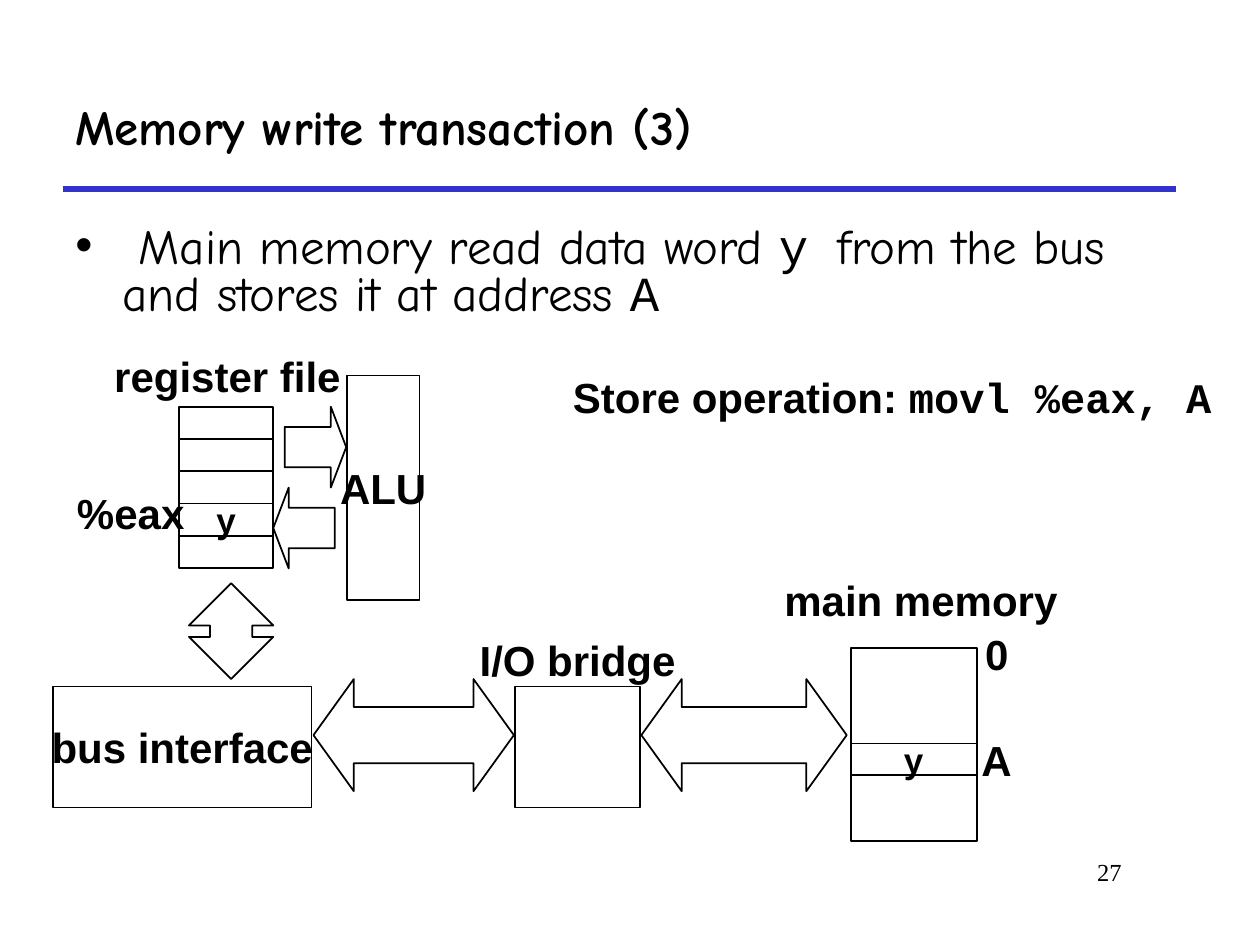
"""Build the slide on the third step of a memory write transaction."""
from lxml.etree import SubElement
from pptx import Presentation
from pptx.dml.color import RGBColor
from pptx.enum.shapes import MSO_CONNECTOR, MSO_SHAPE as Shape
from pptx.enum.text import MSO_ANCHOR as Anchor, MSO_AUTO_SIZE as AutoSize, PP_ALIGN as Align
from pptx.oxml.ns import qn
from pptx.util import Cm, Pt

COLORS = {"ink": "000000", "rule": "3333CC", "paper": "FFFFFF"}
HAND, SANS, MONO, SERIF = "Comic Neue", "Arial", "Courier New", "Times New Roman"

TITLE = [("Memory write transaction (3)", HAND)]
STEP = [
    (" Main memory read data word ", HAND),
    ("y ", MONO),
    ("from the bus and stores it at address ", HAND),
    ("A", MONO),
]
OPERATION = [("Store operation: ", SANS), ("movl %eax, A", MONO)]
PAGE = [("27", SERIF)]

REGISTERS = ["", "", "", "y", ""]
REGISTER_LEFT, REGISTER_TOP, REGISTER_WIDTH, REGISTER_HEIGHT = 3.61, 8.2, 1.9, 0.65

BLOCKS = [
    ("", 24, None, (17.15, 13.06, 2.54, 3.89)),
    ("", 24, None, (10.39, 13.84, 2.51, 2.44)),
    ("ALU", 24, None, (6.99, 7.57, 1.47, 4.52)),
    ("bus interface", 24, "paper", (1.07, 13.84, 5.21, 2.44)),
    ("y", 20, None, (17.15, 14.99, 2.54, 0.64)),
]
ARROWS = [
    (Shape.LEFT_RIGHT_ARROW, (0.5, 0.36), (6.32, 13.69, 4.04, 2.26)),
    (Shape.LEFT_RIGHT_ARROW, (0.5, 0.36), (12.93, 13.69, 4.14, 2.26)),
    (Shape.RIGHT_ARROW, (0.5, 0.25), (5.74, 8.2, 1.24, 1.63)),
    (Shape.LEFT_ARROW, (0.5, 0.25), (5.51, 9.83, 1.24, 1.63)),
    (Shape.UP_DOWN_ARROW, (0.23, 0.5), (3.81, 11.76, 1.7, 1.93)),
]
LABELS = [
    ("register file", (2.01, 6.93, 5.15, 1.27)),
    ("main memory", (15.52, 11.46, 6.09, 1.27)),
    ("0", (19.61, 12.55, 0.97, 1.27)),
    ("A", (19.53, 14.68, 1.12, 1.27)),
    ("%eax", (1.3, 9.7, 2.67, 1.27)),
    ("I/O bridge", (9.37, 12.67, 4.55, 1.27)),
]


def color(name):
    return RGBColor.from_string(COLORS[name])


def write(shape, runs, size, bold=True, align=Align.LEFT, anchor=Anchor.TOP, wrap=False):
    frame = shape.text_frame
    frame.word_wrap = wrap
    frame.vertical_anchor = anchor
    paragraph = frame.paragraphs[0]
    paragraph.alignment = align
    for text, face in runs:
        run = paragraph.add_run()
        run.text = text
        run.font.name = face
        run.font.size = Pt(size)
        run.font.bold = bold
        run.font.color.rgb = color("ink")
    return paragraph


def add_text(slide, place, runs, size, wrap=False, **style):
    box = slide.shapes.add_textbox(*map(Cm, place))
    paragraph = write(box, runs, size, wrap=wrap, **style)
    if not wrap:
        box.text_frame.auto_size = AutoSize.SHAPE_TO_FIT_TEXT
    return paragraph


def add_outlined(slide, kind, place, fill=None):
    shape = slide.shapes.add_shape(kind, *map(Cm, place))
    shape.shadow.inherit = False
    if fill:
        shape.fill.solid()
        shape.fill.fore_color.rgb = color(fill)
    else:
        shape.fill.background()
    shape.line.color.rgb = color("ink")
    shape.line.width = Pt(1)
    return shape


def add_block(slide, text, size, fill, place):
    block = add_outlined(slide, Shape.RECTANGLE, place, fill)
    if text:
        write(block, [(text, SANS)], size, align=Align.CENTER, anchor=Anchor.MIDDLE)


def add_rule(slide):
    rule = slide.shapes.add_connector(
        MSO_CONNECTOR.STRAIGHT, Cm(1.27), Cm(3.81), Cm(23.7), Cm(3.81))
    rule.line.color.rgb = color("rule")
    rule.line.width = Pt(3)
    SubElement(rule.element.spPr, qn("a:effectLst"))


def add_step(slide):
    step = add_text(slide, (1.27, 4.45, 23.06, 2.34), STEP, 28, wrap=True, bold=False)
    step.line_spacing = 0.8
    properties = step._p.get_or_add_pPr()
    properties.set("marL", str(Cm(0.95)))
    properties.set("indent", str(-Cm(0.95)))
    SubElement(properties, qn("a:buFont"), typeface=SANS)
    SubElement(properties, qn("a:buChar"), char="•")


def main():
    deck = Presentation()
    deck.slide_width, deck.slide_height = Cm(25.4), Cm(19.05)
    slide = deck.slides.add_slide(deck.slide_layouts[6])

    add_rule(slide)
    add_text(slide, (19.25, 17.15, 3.61, 1.27), PAGE, 14,
             wrap=True, bold=False, align=Align.RIGHT)
    add_text(slide, (1.27, 1.27, 22.43, 2.54), TITLE, 28, wrap=True, anchor=Anchor.MIDDLE)
    add_step(slide)

    for row, value in enumerate(REGISTERS):
        top = REGISTER_TOP + row * REGISTER_HEIGHT
        add_block(slide, value, 20, None,
                  (REGISTER_LEFT, top, REGISTER_WIDTH, REGISTER_HEIGHT))
    for block in BLOCKS:
        add_block(slide, *block)
    for kind, proportions, place in ARROWS:
        arrow = add_outlined(slide, kind, place)
        for index, proportion in enumerate(proportions):
            arrow.adjustments[index] = proportion
    for text, place in LABELS:
        add_text(slide, place, [(text, SANS)], 24, align=Align.CENTER, anchor=Anchor.MIDDLE)
    add_text(slide, (11.3, 7.37, 13.5, 2.29), OPERATION, 24)

    deck.save("out.pptx")


if __name__ == "__main__":
    main()
